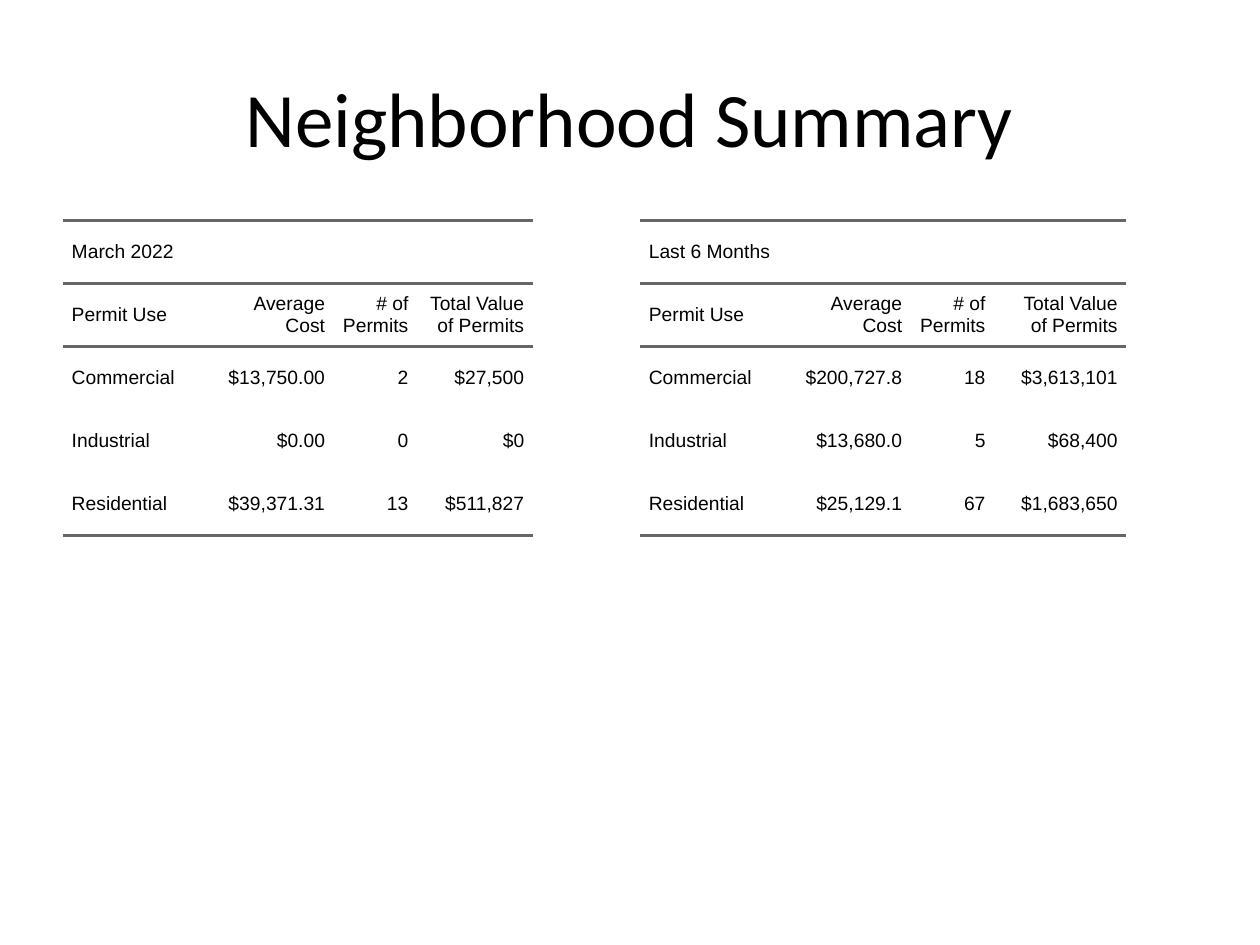
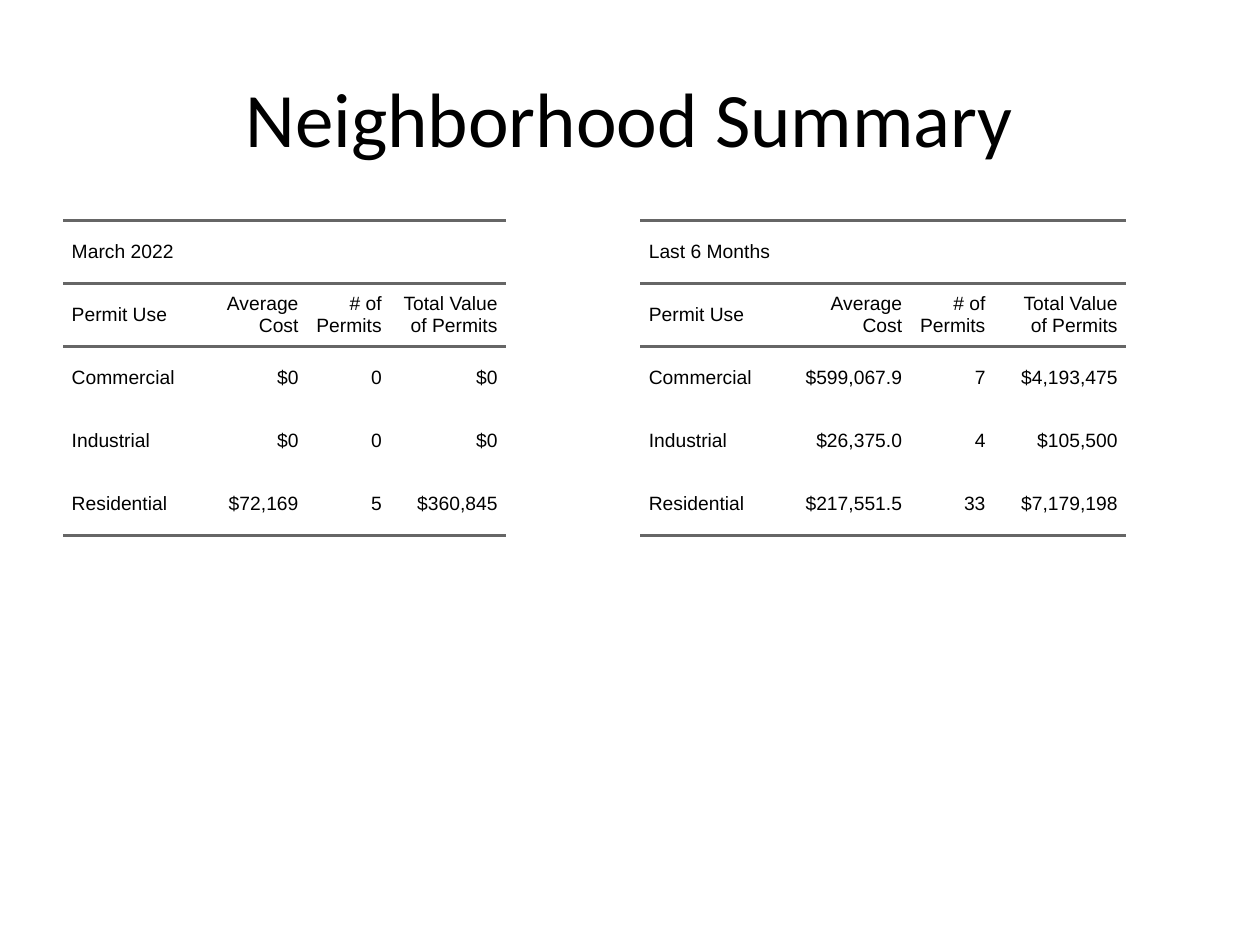
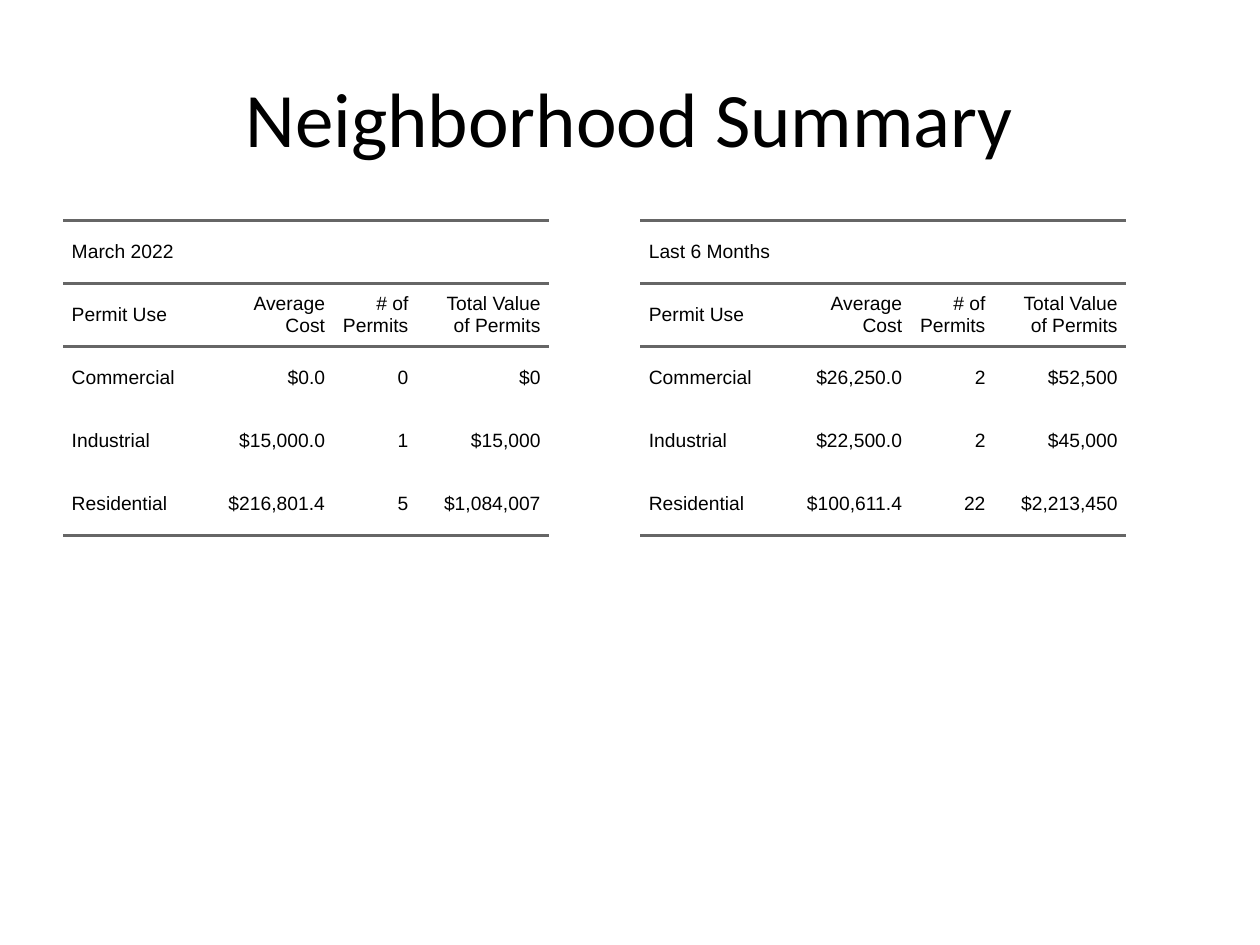
from dataclasses import dataclass

from lxml.etree import SubElement
from pptx import Presentation
from pptx.dml.color import RGBColor
from pptx.enum.text import MSO_ANCHOR, PP_ALIGN
from pptx.oxml.ns import qn
from pptx.slide import Slide
from pptx.table import _Cell
from pptx.text.text import TextFrame
from pptx.util import Pt


@dataclass(frozen=True)
class Theme:
    """Colours, fonts and sizes shared by all slides."""
    ink: str = "000000"
    rule: str = "666666"
    paper: str = "FFFFFF"
    head: str = "Calibri"
    body: str = "Arial"
    large: float = 44
    small: float = 11
    line: float = 2
    inset: float = 5


@dataclass(frozen=True)
class Panel:
    """A permit table: its period, column widths and figures."""
    period: str
    widths: tuple[float, ...]
    costs: tuple[str, ...]
    counts: tuple[str, ...]
    totals: tuple[str, ...]


THEME = Theme()
TITLE = "Neighborhood Summary"
HEADS = ("Permit Use", "Average Cost", "# of Permits", "Total Value of Permits")
USES = ("Commercial", "Industrial", "Residential")
RULES = (0, 1, 2, 5)
LEFTS = (36, 365.76)
TOP = 126
ROW = 36
WIDE = (79.2, 75.6, 47.6, 75.6)
MID = (79.2, 75.6, 47.6, 66.2)
SLIM = (79.2, 60.4, 47.6, 66.2)
NOW = "March 2022"
PAST = "Last 6 Months"

PAGES = (
    (
        Panel(NOW, MID, ("$13,750.00", "$0.00", "$39,371.31"),
              ("2", "0", "13"), ("$27,500", "$0", "$511,827")),
        Panel(PAST, WIDE, ("$200,727.8", "$13,680.0", "$25,129.1"),
              ("18", "5", "67"), ("$3,613,101", "$68,400", "$1,683,650")),
    ),
    (
        Panel(NOW, SLIM, ("$0", "$0", "$72,169"),
              ("0", "0", "5"), ("$0", "$0", "$360,845")),
        Panel(PAST, WIDE, ("$599,067.9", "$26,375.0", "$217,551.5"),
              ("7", "4", "33"), ("$4,193,475", "$105,500", "$7,179,198")),
    ),
    (
        Panel(NOW, WIDE, ("$0.0", "$15,000.0", "$216,801.4"),
              ("0", "1", "5"), ("$0", "$15,000", "$1,084,007")),
        Panel(PAST, WIDE, ("$26,250.0", "$22,500.0", "$100,611.4"),
              ("2", "2", "22"), ("$52,500", "$45,000", "$2,213,450")),
    ),
)


def write(frame: TextFrame, text: str, *, font: str = THEME.body,
          size: float = THEME.small, color: str = THEME.ink,
          align: PP_ALIGN = PP_ALIGN.LEFT) -> None:
    """Put one formatted paragraph into a text frame."""
    frame.word_wrap = True
    para = frame.paragraphs[0]
    para.alignment = align
    run = para.add_run()
    run.text = text
    run.font.name = font
    run.font.size = Pt(size)
    run.font.color.rgb = RGBColor.from_string(color)


def edge(cell: _Cell, side: str, ruled: bool) -> None:
    """Rule or clear one side of a cell."""
    props = cell._tc.get_or_add_tcPr()
    line = SubElement(props, qn(f"a:ln{side}"), w=str(Pt(THEME.line)))
    if ruled:
        fill = SubElement(line, qn("a:solidFill"))
        SubElement(fill, qn("a:srgbClr"), val=THEME.rule)
    else:
        SubElement(line, qn("a:noFill"))


def style(cell: _Cell, row: int) -> None:
    """Set the borders, fill and insets of a cell."""
    sides = {"L": False, "R": False, "T": row in RULES, "B": row + 1 in RULES}
    for side, ruled in sides.items():
        edge(cell, side, ruled)
    cell.fill.background()
    cell.vertical_anchor = MSO_ANCHOR.MIDDLE
    cell.margin_left = cell.margin_right = Pt(THEME.inset)
    cell.margin_top = cell.margin_bottom = Pt(0)


def draw(slide: Slide, panel: Panel, left: float) -> None:
    """Draw one permit table."""
    rows = [(panel.period,), HEADS,
            *zip(USES, panel.costs, panel.counts, panel.totals)]
    table = slide.shapes.add_table(
        len(rows), len(HEADS), Pt(left), Pt(TOP),
        Pt(sum(panel.widths)), Pt(ROW * len(rows))).table
    table.first_row = table.horz_banding = False
    for column, width in zip(table.columns, panel.widths):
        column.width = Pt(width)
    for r, row in enumerate(rows):
        for c in range(len(HEADS)):
            style(table.cell(r, c), r)
        for c, text in enumerate(row):
            align = PP_ALIGN.RIGHT if c else PP_ALIGN.LEFT
            write(table.cell(r, c).text_frame, text, align=align)
    table.cell(0, 0).merge(table.cell(0, len(HEADS) - 1))


def title(slide: Slide) -> None:
    """Draw the slide title."""
    box = slide.shapes.add_textbox(Pt(36), Pt(21.6), Pt(648), Pt(90))
    box.text_frame.vertical_anchor = MSO_ANCHOR.MIDDLE
    write(box.text_frame, TITLE, font=THEME.head, size=THEME.large,
          align=PP_ALIGN.CENTER)


def main() -> None:
    """Build and save the deck."""
    deck = Presentation()
    deck.slide_width, deck.slide_height = Pt(720), Pt(540)
    for page in PAGES:
        slide = deck.slides.add_slide(deck.slide_layouts[6])
        back = slide.background.fill
        back.solid()
        back.fore_color.rgb = RGBColor.from_string(THEME.paper)
        for panel, left in zip(page, LEFTS):
            draw(slide, panel, left)
        title(slide)
    deck.save("out.pptx")


if __name__ == "__main__":
    main()
